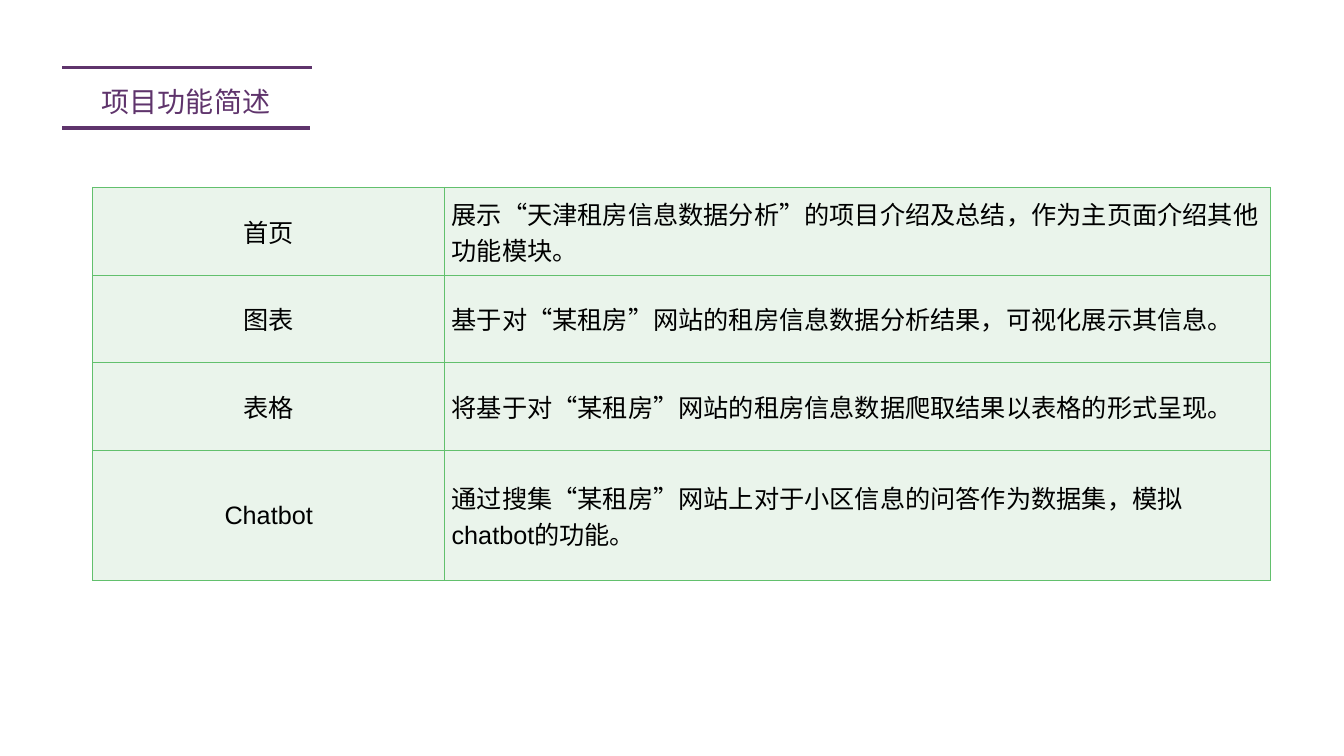
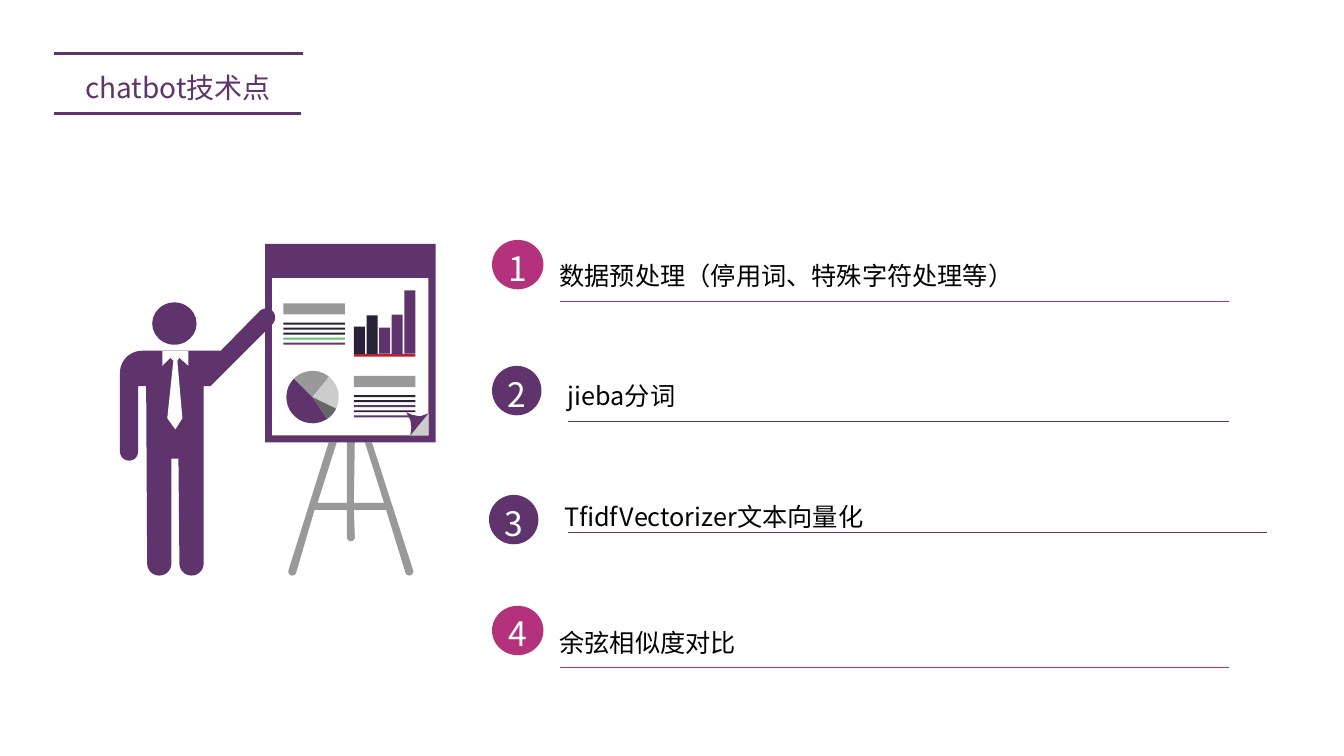
"""Build two slides on a rental-data project: its functions and its chatbot techniques."""
from math import cos, radians, sin

from lxml.etree import SubElement
from pptx import Presentation
from pptx.dml.color import RGBColor
from pptx.enum.shapes import MSO_CONNECTOR, MSO_SHAPE
from pptx.enum.text import MSO_ANCHOR, MSO_AUTO_SIZE, PP_ALIGN
from pptx.oxml.ns import qn
from pptx.util import Inches, Pt

COLOURS = {
    "purple": "5F346C", "magenta": "B4327C", "ink": "282238", "green": "62C06D",
    "mint": "EAF4EB", "red": "BE1E2D", "dark": "666666", "grey": "999999",
    "light": "CCCCCC", "white": "FFFFFF", "black": "000000",
}
SANS, CJK = "Arial", "Noto Sans CJK SC"
TITLE_ONLY, TITLE_AND_BODY = 5, 1

FUNCTIONS = [
    ("首页", "展示“天津租房信息数据分析”的项目介绍及总结，作为主页面介绍其他功能模块。"),
    ("图表", "基于对“某租房”网站的租房信息数据分析结果，可视化展示其信息。"),
    ("表格", "将基于对“某租房”网站的租房信息数据爬取结果以表格的形式呈现。"),
    ("Chatbot", "通过搜集“某租房”网站上对于小区信息的问答作为数据集，模拟chatbot的功能。"),
]
TECHNIQUES = [
    ([("数据预处理（停用词、特殊字符处理等）", SANS)], 0, 0),
    ([("jieba", CJK), ("分词", SANS)], 0.08, 60),
    ([("TfidfVectorizer", CJK), ("文本向量化", SANS)], 0.05, 60),
    ([("余弦相似度对比", SANS)], 0, 64),
]
BADGES = [
    (4.88, 2.38, 0.51, "magenta"), (4.88, 3.63, 0.49, "purple"),
    (4.85, 4.91, 0.49, "purple"), (4.88, 6.01, 0.51, "magenta"),
]
RULES = [
    (5.55, 12.19, 2.99, "magenta"), (5.63, 12.19, 4.18, "purple"),
    (5.63, 12.57, 5.28, "purple"), (5.55, 12.19, 6.62, "magenta"),
]


def rgb(name):
    """Return the named palette colour."""
    return RGBColor.from_string(COLOURS[name])


def arc(x, y, radius, start, end):
    """Return points along a circular arc, with angles clockwise from the right."""
    steps = 16
    angles = [radians(start + (end - start) * i / steps) for i in range(steps + 1)]
    return [(x + radius * cos(a), y + radius * sin(a)) for a in angles]


class Painter:
    """Hold the deck style and draw elements on the current slide."""

    def __init__(self):
        """Start an empty widescreen deck."""
        self.deck = Presentation()
        self.deck.slide_width, self.deck.slide_height = Inches(13.33), Inches(7.5)

    def new_page(self, layout, title, left, top):
        """Add a slide whose title sits between two rules."""
        self.page = self.deck.slides.add_slide(self.deck.slide_layouts[layout])
        self.shapes = self.page.shapes
        box = self.place(self.page.shapes.title, left, top + 0.05, 2.45, 0.47)
        para = box.text_frame.paragraphs[0]
        para.alignment, para.line_spacing = PP_ALIGN.CENTER, 1.2
        self.span(para, title, 20, CJK, "purple")
        for y, width in ((top, 2.47), (top + 0.6, 2.45)):
            self.line(left, left + width, y, "purple", 2.25)

    def place(self, box, left, top, width, height):
        """Move a placeholder and anchor its text at the top."""
        box.left, box.top = Inches(left), Inches(top)
        box.width, box.height = Inches(width), Inches(height)
        frame = box.text_frame
        frame.auto_size, frame.word_wrap = MSO_AUTO_SIZE.NONE, True
        frame.vertical_anchor = MSO_ANCHOR.TOP
        return box

    def span(self, para, text, size, font, colour):
        """Add one formatted run with its East Asian font."""
        span = para.add_run()
        span.text = text
        span.font.size, span.font.name = Pt(size), font
        span.font.color.rgb = rgb(colour)
        SubElement(span.font._element, qn("a:ea"), typeface=CJK)

    def line(self, start, end, y, colour, weight):
        """Draw a horizontal rule without a shadow."""
        line = self.shapes.add_connector(
            MSO_CONNECTOR.STRAIGHT, Inches(start), Inches(y), Inches(end), Inches(y))
        line.line.color.rgb, line.line.width = rgb(colour), Pt(weight)
        SubElement(line._element.spPr, qn("a:effectLst"))

    def paint(self, shape, colour):
        """Give a shape a plain fill."""
        shape.shadow.inherit = False
        shape.fill.solid()
        shape.fill.fore_color.rgb = rgb(colour)
        shape.line.fill.background()
        return shape

    def preset(self, kind, left, top, width, height, colour):
        """Draw a filled preset shape."""
        lengths = [Inches(value) for value in (left, top, width, height)]
        return self.paint(self.shapes.add_shape(kind, *lengths), colour)

    def bar(self, left, top, width, height, colour):
        """Draw a filled rectangle."""
        return self.preset(MSO_SHAPE.RECTANGLE, left, top, width, height, colour)

    def outline(self, points, colour):
        """Draw a filled closed outline from points in inches."""
        scaled = [(x * 1000, y * 1000) for x, y in points]
        builder = self.shapes.build_freeform(*scaled[0], scale=Inches(1) / 1000)
        builder.add_line_segments(scaled[1:], close=True)
        return self.paint(builder.convert_to_shape(), colour)

    def badge(self, number, left, top, width, colour):
        """Draw a numbered circle."""
        badge = self.preset(MSO_SHAPE.OVAL, left, top, width, 0.49, colour)
        frame = badge.text_frame
        frame.word_wrap, frame.vertical_anchor = False, MSO_ANCHOR.MIDDLE
        frame.margin_left = frame.margin_right = frame.margin_bottom = 0
        frame.margin_top = Inches(0.06)
        para = frame.paragraphs[0]
        para.alignment = PP_ALIGN.CENTER
        self.span(para, str(number), 24, CJK, "white")

    def items(self, entries, left, top, width, height):
        """Fill the body placeholder with an unbulleted list."""
        box = self.place(self.page.placeholders[1], left, top, width, height)
        frame = box.text_frame
        frame.margin_left = frame.margin_right = frame.margin_top = frame.margin_bottom = 0
        for index, (spans, indent, gap) in enumerate(entries):
            para = frame.add_paragraph() if index else frame.paragraphs[0]
            para.line_spacing, para.space_before, para.space_after = Pt(26), Pt(gap), Pt(0)
            settings = para._p.get_or_add_pPr()
            settings.set("marL", str(Inches(indent)))
            settings.set("indent", "0")
            SubElement(settings, qn("a:buNone"))
            for text, font in spans:
                self.span(para, text, 18, font, "black")

    def cell(self, cell, text, alignment):
        """Fill, border and write one table cell."""
        settings = cell._tc.get_or_add_tcPr()
        for side in ("lnL", "lnR", "lnT", "lnB"):
            border = SubElement(settings, qn(f"a:{side}"), w=str(Pt(1)))
            fill = SubElement(border, qn("a:solidFill"))
            SubElement(fill, qn("a:srgbClr"), val=COLOURS["green"])
        cell.fill.solid()
        cell.fill.fore_color.rgb = rgb("mint")
        cell.vertical_anchor = MSO_ANCHOR.MIDDLE
        cell.margin_left = cell.margin_right = Inches(0.07)
        cell.margin_top = cell.margin_bottom = 0
        para = cell.text_frame.paragraphs[0]
        para.alignment = alignment
        self.span(para, text, 18, SANS, "black")

    def table(self, rows, left, top, widths, heights):
        """Draw a bordered table with centred labels."""
        table = self.shapes.add_table(
            len(rows), len(widths), Inches(left), Inches(top),
            Inches(sum(widths)), Inches(sum(heights))).table
        table.first_row = table.horz_banding = False
        for column, width in zip(table.columns, widths):
            column.width = Inches(width)
        for row, height, texts in zip(table.rows, heights, rows):
            row.height = Inches(height)
            for cell, text, side in zip(row.cells, texts, (PP_ALIGN.CENTER, PP_ALIGN.LEFT)):
                self.cell(cell, text, side)

    def text_block(self, left, top, colours):
        """Draw a heading bar with thin stripes below it."""
        self.bar(left, top, 0.61, 0.11, "grey")
        for index, colour in enumerate(colours):
            self.bar(left, top + 0.19 + 0.05 * index, 0.61, 0.02, colour)

    def easel(self):
        """Draw the stand and the empty board."""
        self.outline([
            (3.62, 4.39), (3.69, 4.39), *arc(4.06, 5.67, 0.04, -17, 163),
            (3.83, 5.06), (3.51, 5.06), *arc(3.48, 5.33, 0.04, 0, 180),
            (3.44, 5.06), (3.12, 5.06), *arc(2.9, 5.67, 0.04, 17, 197),
            (3.26, 4.39), (3.34, 4.39), (3.15, 4.99), (3.44, 4.99),
            *arc(3.48, 4.35, 0.04, 180, 360), (3.51, 4.99), (3.81, 4.99)], "grey")
        self.bar(2.63, 2.42, 1.69, 1.97, "purple")
        self.bar(2.7, 2.76, 1.55, 1.56, "white")

    def board_content(self):
        """Draw the text blocks, pie, bars and page fold on the board."""
        self.text_block(2.81, 3.01, ["ink", "ink", "ink", "green", "purple"])
        self.text_block(3.51, 3.73, ["ink", "ink", "purple", "ink", "purple"])
        self.outline([(4.25, 4.1), (4.06, 4.32), (4.25, 4.32)], "light")
        self.outline([
            (4.03, 4.09), (4.1, 4.12), (4.17, 4.13), (4.25, 4.1),
            (4.07, 4.32), (4.08, 4.24), (4.07, 4.17)], "purple")
        centre = (3.1, 3.94)
        wedges = [(56, 225, "purple"), (225, 309, "grey"), (309, 386, "light"), (26, 56, "dark")]
        for start, end, colour in wedges:
            self.outline([centre, *arc(*centre, 0.26, start, end)], colour)
        self.bar(3.51, 3.51, 0.61, 0.03, "red")
        for index, height in enumerate((0.27, 0.38, 0.26, 0.39, 0.63)):
            colour = "ink" if index < 2 else "purple"
            self.bar(3.51 + 0.125 * index, 3.51 - height, 0.11, height, colour)

    def presenter(self):
        """Draw the pointing figure with collar and tie."""
        self.preset(MSO_SHAPE.OVAL, 1.51, 3, 0.44, 0.42, "purple")
        self.outline([
            (2.19, 3.48), *arc(2.64, 3.15, 0.09, 225, 405), (2.09, 3.83), (2.02, 3.83),
            *arc(1.9, 5.59, 0.12, 0, 180), (1.77, 4.55), (1.7, 4.55),
            *arc(1.58, 5.59, 0.12, 0, 180), (1.45, 3.83), (1.37, 3.83),
            *arc(1.28, 4.48, 0.09, 0, 180), *arc(1.41, 3.7, 0.22, 180, 270)], "purple")
        self.outline([
            (1.61, 3.48), (1.61, 3.63), (1.69, 3.55), (1.72, 3.58), (1.66, 4.15), (1.74, 4.26),
            (1.81, 4.15), (1.76, 3.58), (1.78, 3.55), (1.87, 3.63), (1.87, 3.48)], "white")

    def illustration(self):
        """Draw the presenter and board as one group."""
        self.shapes = self.page.shapes.add_group_shape().shapes
        self.easel()
        self.board_content()
        self.presenter()
        self.shapes = self.page.shapes


def main():
    """Build and save the deck."""
    painter = Painter()
    painter.new_page(TITLE_ONLY, "项目功能简述", 0.62, 0.67)
    painter.table(FUNCTIONS, 0.92, 1.86, (3.49, 8.19), (0.87, 0.87, 0.87, 1.29))

    painter.new_page(TITLE_AND_BODY, "chatbot技术点", 0.54, 0.53)
    painter.illustration()
    painter.items(TECHNIQUES, 5.55, 2.52, 6.7, 4)
    for number, badge in enumerate(BADGES, 1):
        painter.badge(number, *badge)
    for rule in RULES:
        painter.line(*rule, 1)
    painter.deck.save("out.pptx")


if __name__ == "__main__":
    main()
